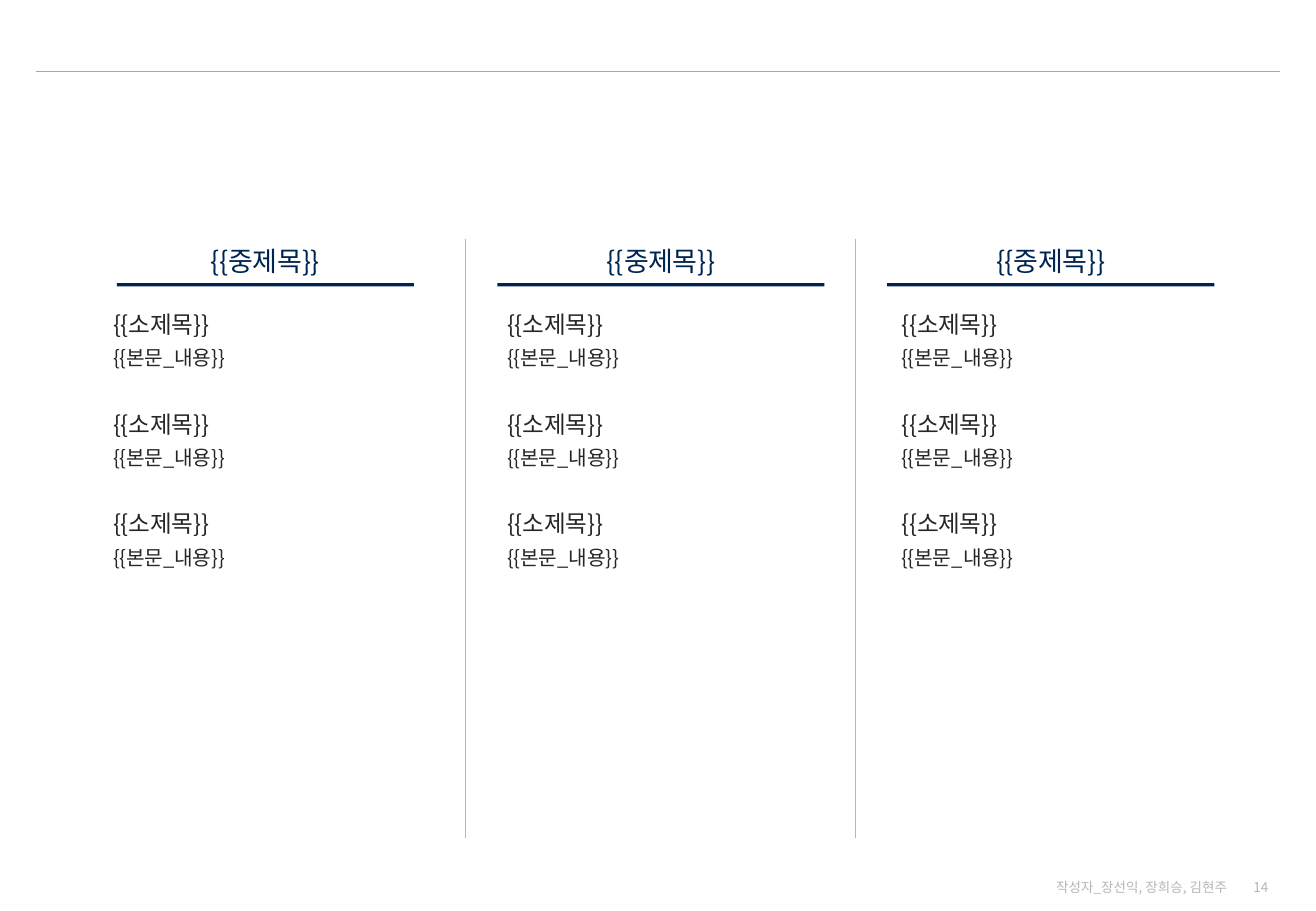
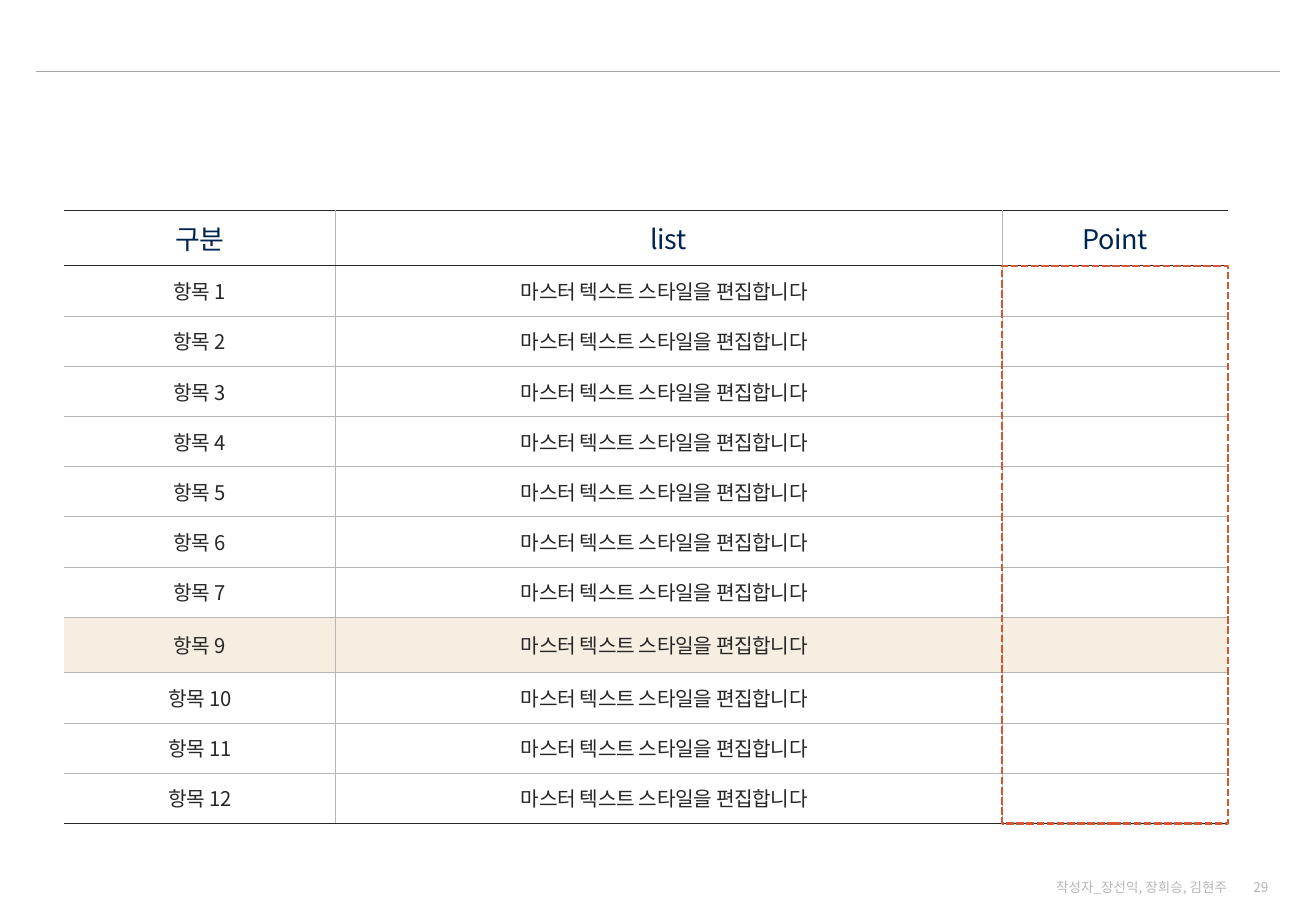
from dataclasses import dataclass
from lxml.etree import SubElement
from pptx import Presentation
from pptx.dml.color import RGBColor
from pptx.enum.dml import MSO_LINE
from pptx.enum.shapes import MSO_CONNECTOR, MSO_SHAPE
from pptx.enum.text import MSO_ANCHOR, PP_ALIGN
from pptx.oxml.ns import qn
from pptx.util import Pt


@dataclass(frozen=True)
class Theme:
    font: str = "Noto Sans CJK KR"
    navy: str = "002452"
    ink: str = "262626"
    grey: str = "B6B6B6"
    rule: str = "A6A6A6"
    white: str = "FFFFFF"
    cream: str = "F6EEE0"
    orange: str = "D55633"
    heading: float = 16
    subheading: float = 14
    body: float = 12
    footer: float = 8
    tracking: int = -20
    hairline: float = 0.23


@dataclass(frozen=True)
class Box:
    left: float
    top: float
    width: float
    height: float

    def place(self):
        return Pt(self.left), Pt(self.top), Pt(self.width), Pt(self.height)


THEME = Theme()
SLIDE_WIDTH, SLIDE_HEIGHT = 780, 540
AUTHORS = "작성자_장선익, 장희승, 김현주"
COLUMNS_TOP, COLUMNS_HEIGHT = 141.5, 355
TABLE_BOX = Box(38.16, 124.56, 689.76, 363.6)
COLUMN_WIDTHS = (160.56, 395.28, 133.92)
TALL_ROW = 33
HIGHLIGHTED = 9
ITEMS = [number for number in range(1, 13) if number != 8]


def color(code):
    return RGBColor.from_string(code)


def write(paragraph, text, size, ink, align=PP_ALIGN.LEFT, tracking=THEME.tracking):
    paragraph.text = text
    paragraph.alignment = align
    for run in paragraph.runs:
        run.font.size = Pt(size)
        run.font.color.rgb = color(ink)
        run.font.name = THEME.font
        properties = run._r.get_or_add_rPr()
        SubElement(properties, qn("a:ea"), typeface=THEME.font)
        properties.set("spc", str(tracking))


def add_rule(slide, start, end, ink, width):
    rule = slide.shapes.add_connector(MSO_CONNECTOR.STRAIGHT, *map(Pt, start + end))
    rule.line.color.rgb = color(ink)
    rule.line.width = Pt(width)
    SubElement(rule._element.spPr, qn("a:effectLst"))


def add_text_frame(slide, box, anchor=MSO_ANCHOR.TOP):
    frame = slide.shapes.add_textbox(*box.place()).text_frame
    frame.word_wrap = True
    frame.vertical_anchor = anchor
    return frame


def add_page_frame(slide, page):
    add_rule(slide, (21.6, 42.5), (758.88, 42.5), THEME.rule, 0.75)
    footer = ((AUTHORS, Box(613.44, 519.84, 120.96, 11.52)),
              (str(page), Box(729.36, 519.84, 29.52, 11.52)))
    for text, box in footer:
        frame = add_text_frame(slide, box, MSO_ANCHOR.MIDDLE)
        write(frame.paragraphs[0], text, THEME.footer, THEME.grey, PP_ALIGN.RIGHT, 0)


def add_heading(slide, box):
    heading = slide.shapes.add_shape(MSO_SHAPE.RECTANGLE, *box.place())
    heading.fill.solid()
    heading.fill.fore_color.rgb = color(THEME.white)
    heading.line.fill.background()
    heading.shadow.inherit = False
    effects = heading._element.spPr.find(qn("a:effectLst"))
    underline = SubElement(effects, qn("a:outerShdw"), blurRad="0", dist=str(Pt(2)),
                           dir="5400000", sx="99000", algn="t", rotWithShape="0")
    SubElement(underline, qn("a:srgbClr"), val=THEME.navy)
    frame = heading.text_frame
    frame.word_wrap = True
    frame.vertical_anchor = MSO_ANCHOR.BOTTOM
    write(frame.paragraphs[0], "{{중제목}}", THEME.heading, THEME.navy, PP_ALIGN.CENTER)


def add_column(slide, box, heading_left, heading_width):
    frame = add_text_frame(slide, Box(box.left, box.top + 33.5, box.width, 313))
    for index in range(6):
        paragraph = frame.paragraphs[0] if index == 0 else frame.add_paragraph()
        is_body = index % 2
        text, size = (("{{본문_내용}}", THEME.body) if is_body
                      else ("{{소제목}}", THEME.subheading))
        write(paragraph, text, size, THEME.ink)
        paragraph.line_spacing = 1.3
        if index and not is_body:
            paragraph.space_before = Pt(18.6)
    add_heading(slide, Box(heading_left, box.top - 0.4, heading_width, 26.64))


def build_columns_slide(slide):
    add_page_frame(slide, 14)
    headings = ((68.4, 177.84), (293.76, 195.84), (524.88, 195.84))
    for index, heading in enumerate(headings):
        box = Box(59.9 + 233.65 * index, COLUMNS_TOP, 195.84, COLUMNS_HEIGHT)
        add_column(slide, box, *heading)
    for x in (275.76, 506.88):
        add_rule(slide, (x, COLUMNS_TOP), (x, COLUMNS_TOP + COLUMNS_HEIGHT), THEME.grey, 0.5)


def set_border(cell, side, ink, width):
    line = SubElement(cell._tc.get_or_add_tcPr(), qn(f"a:ln{side}"), w=str(Pt(width)))
    if ink:
        SubElement(SubElement(line, qn("a:solidFill")), qn("a:srgbClr"), val=ink)
    else:
        SubElement(line, qn("a:noFill"))


def format_cell(cell, row, column, last_row, fill):
    thin, strong, none = (THEME.grey, THEME.hairline), (THEME.ink, 0.75), (None, 0)
    last_column = len(COLUMN_WIDTHS) - 1
    set_border(cell, "L", *(thin if column else none))
    set_border(cell, "R", *(thin if column < last_column else none))
    set_border(cell, "T", *(strong if row < 2 else thin))
    set_border(cell, "B", *(strong if row in (0, last_row) else thin))
    cell.fill.solid()
    cell.fill.fore_color.rgb = color(fill)
    cell.vertical_anchor = MSO_ANCHOR.MIDDLE
    if row and column == 1:
        cell.margin_left, cell.margin_right = Pt(0.72), Pt(5.76)


def add_item_table(slide, box):
    records = [("구분", "list", "Point")]
    records += [(f"항목 {number}", "마스터 텍스트 스타일을 편집합니다", "") for number in ITEMS]
    last_row = len(records) - 1
    highlighted_row = ITEMS.index(HIGHLIGHTED) + 1
    plain_row = (box.height - 2 * TALL_ROW) / (len(records) - 2)
    table = slide.shapes.add_table(len(records), len(COLUMN_WIDTHS), *box.place()).table
    table.first_row = table.horz_banding = False
    for column, width in enumerate(COLUMN_WIDTHS):
        table.columns[column].width = Pt(width)
    for row, record in enumerate(records):
        table.rows[row].height = Pt(TALL_ROW if row in (0, highlighted_row) else plain_row)
        fill = THEME.cream if row == highlighted_row else THEME.white
        size, ink = (THEME.body, THEME.ink) if row else (THEME.heading, THEME.navy)
        for column, text in enumerate(record):
            cell = table.cell(row, column)
            format_cell(cell, row, column, last_row, fill)
            write(cell.text_frame.paragraphs[0], text, size, ink, PP_ALIGN.CENTER)


def add_point_outline(slide, box):
    outline = slide.shapes.add_shape(MSO_SHAPE.RECTANGLE, *box.place())
    outline.fill.background()
    outline.line.color.rgb = color(THEME.orange)
    outline.line.width = Pt(1.5)
    outline.line.dash_style = MSO_LINE.SQUARE_DOT
    outline.shadow.inherit = False


def build_table_slide(slide):
    add_page_frame(slide, 29)
    add_item_table(slide, TABLE_BOX)
    add_point_outline(slide, Box(TABLE_BOX.left + sum(COLUMN_WIDTHS[:2]),
                                 TABLE_BOX.top + TALL_ROW,
                                 COLUMN_WIDTHS[2], TABLE_BOX.height - TALL_ROW))


def main():
    deck = Presentation()
    deck.slide_width, deck.slide_height = Pt(SLIDE_WIDTH), Pt(SLIDE_HEIGHT)
    blank = deck.slide_layouts[6]
    for build in (build_columns_slide, build_table_slide):
        build(deck.slides.add_slide(blank))
    deck.save("out.pptx")


if __name__ == "__main__":
    main()
